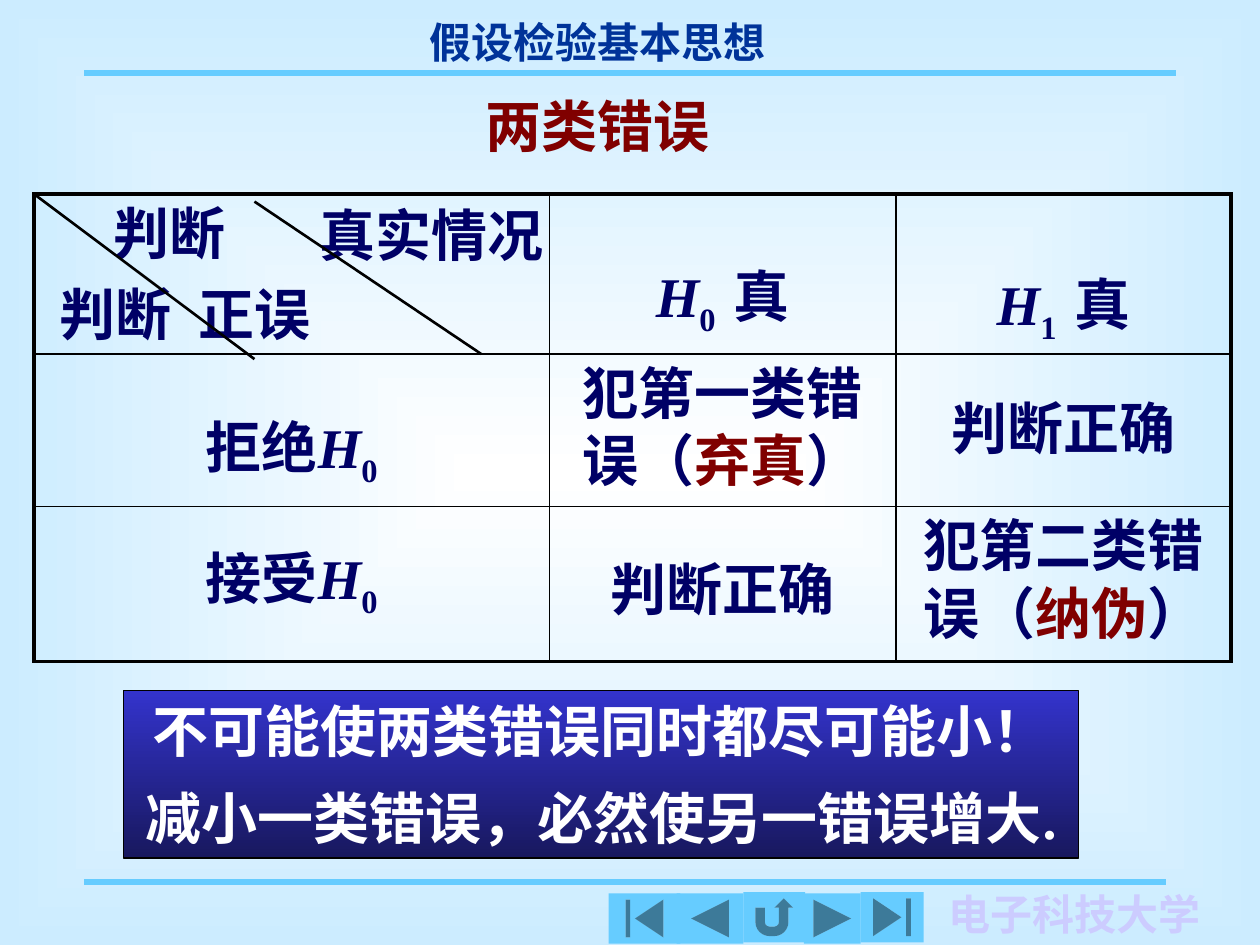
from pptx import Presentation
from pptx.dml.color import RGBColor
from pptx.enum.shapes import MSO_CONNECTOR, MSO_SHAPE
from pptx.enum.text import MSO_ANCHOR, PP_ALIGN
from pptx.oxml.ns import qn
from pptx.util import Inches, Pt
from lxml.etree import SubElement

# Content
NAVY, MAROON, SKY, BLACK = "000066", "800000", "66CCFF", "000000"
TIMES, SANS = "Times New Roman", "Noto Sans CJK SC"
TITLE = "两类错误"
HEADING = "假设检验基本思想"
SCHOOL = "电子科技大学"
TRUTH_LABEL = "真实情况"
WIDE_SPACE = (" ", {"spacing": 8})
NARROW_SPACE = (" ", {"spacing": 2})
TIGHT = 0.83  # line spacing that fits two lines in a table row


def hypothesis(number):
    return [("H", {"italic": True}), (number, {"baseline": -25})]


# Each cell: paragraphs (lists of runs) and their format
CELLS = [
    [
        ([["判断"], ["判断", WIDE_SPACE, "正误"]],
         {"align": PP_ALIGN.LEFT, "font": SANS, "before": 8, "indents": (0.53, 0.1),
          "line_spacing": TIGHT}),
        ([hypothesis("0") + [NARROW_SPACE, "真"]], {"line_spacing": 1.6}),
        ([hypothesis("1") + [NARROW_SPACE, "真"]], {"line_spacing": 1.7}),
    ],
    [
        ([["拒绝"] + hypothesis("0")], {"line_spacing": 1.5}),
        ([["犯第一类错误（", ("弃真", {"color": MAROON}), "）"]], {"line_spacing": TIGHT}),
        ([["判断正确"]], {"line_spacing": 1.3}),
    ],
    [
        ([["接受"] + hypothesis("0")], {"line_spacing": 1.25}),
        ([["判断正确"]], {"line_spacing": 1.4}),
        ([["犯第二类错误（", ("纳伪", {"color": MAROON}), "）"]], {"line_spacing": TIGHT}),
    ],
]
COLUMN_WIDTHS = [4.09, 2.75, 2.66]
ROW_HEIGHTS = [1.27, 1.21, 1.23]
TABLE_LEFT, TABLE_TOP = 0.27, 1.54

CONCLUSION = ["不可能使两类错误同时都尽可能小！", "减小一类错误，必然使另一错误增大."]

# Start, end, colour, width in points
RULES = [((0.67, 7), (9.25, 7), SKY, 3), ((0.67, 0.58), (9.33, 0.58), SKY, 3)]
DIAGONALS = [((0.27, 1.54), (2.02, 2.85), BLACK, 1.5), ((2.02, 1.6), (3.82, 2.81), BLACK, 1.5)]

# Preset, left, top, width
BUTTONS = [
    (MSO_SHAPE.ACTION_BUTTON_BEGINNING, 4.83, 7.09, 0.57),
    (MSO_SHAPE.ACTION_BUTTON_BACK_OR_PREVIOUS, 5.37, 7.09, 0.53),
    (MSO_SHAPE.ACTION_BUTTON_RETURN, 5.9, 7.08, 0.49),
    (MSO_SHAPE.ACTION_BUTTON_FORWARD_OR_NEXT, 6.38, 7.09, 0.45),
    (MSO_SHAPE.ACTION_BUTTON_END, 6.83, 7.08, 0.5),
]


def rgb(value):
    return RGBColor.from_string(value)


def write_text(frame, paragraphs, size=32, color=NAVY, font=TIMES, align=PP_ALIGN.CENTER,
               line_spacing=None, before=0, indents=()):
    """Fill a text frame with bold paragraphs, each a list of plain or formatted runs."""
    for index, runs in enumerate(paragraphs):
        para = frame.paragraphs[0] if index == 0 else frame.add_paragraph()
        para.alignment = align
        para.space_before = Pt(before if index else 0)
        if line_spacing:
            para.line_spacing = line_spacing
        if indents:
            properties = para._p.get_or_add_pPr()
            properties.set("marL", str(Inches(indents[index])))
            properties.set("indent", "0")
        for run in runs:
            text, style = (run, {}) if isinstance(run, str) else run
            span = para.add_run()
            span.text = text
            span.font.size = Pt(size)
            span.font.bold = True
            span.font.italic = style.get("italic", False)
            span.font.name = font
            span.font.color.rgb = rgb(style.get("color", color))
            details = span._r.get_or_add_rPr()
            SubElement(details, qn("a:ea")).set("typeface", SANS)
            if "baseline" in style:
                details.set("baseline", str(style["baseline"] * 1000))
            if "spacing" in style:
                details.set("spc", str(style["spacing"] * 100))


def add_label(page, text, left, top, width, height, wrap=True, **style):
    box = page.shapes.add_textbox(Inches(left), Inches(top), Inches(width), Inches(height))
    box.text_frame.word_wrap = wrap
    write_text(box.text_frame, [[text]], **style)


def add_line(page, start, end, color, width):
    line = page.shapes.add_connector(
        MSO_CONNECTOR.STRAIGHT, *[Inches(value) for value in start + end])
    line.line.color.rgb = rgb(color)
    line.line.width = Pt(width)
    SubElement(line._element.spPr, qn("a:effectLst"))


def add_gradient(fill, first, last):
    fill.gradient()
    for stop, color in zip(fill.gradient_stops, (first, last)):
        stop.color.rgb = rgb(color)


def set_borders(cell, outer_sides):
    """Draw thick borders on the table's outer sides and thin ones elsewhere."""
    properties = cell._tc.get_or_add_tcPr()
    for position, side in enumerate(("L", "R", "T", "B")):
        width = Pt(2.25 if side in outer_sides else 1)
        border = properties.makeelement(qn("a:ln" + side), {"w": str(width)})
        SubElement(SubElement(border, qn("a:solidFill")), qn("a:srgbClr")).set("val", BLACK)
        properties.insert(position, border)


def add_error_table(page):
    last_row, last_column = len(ROW_HEIGHTS) - 1, len(COLUMN_WIDTHS) - 1
    table = page.shapes.add_table(
        last_row + 1, last_column + 1, Inches(TABLE_LEFT), Inches(TABLE_TOP),
        Inches(sum(COLUMN_WIDTHS)), Inches(sum(ROW_HEIGHTS))).table
    table.first_row = table.horz_banding = False
    for column, width in zip(table.columns, COLUMN_WIDTHS):
        column.width = Inches(width)
    for row, height in zip(table.rows, ROW_HEIGHTS):
        row.height = Inches(height)
    for i, row in enumerate(CELLS):
        for j, (paragraphs, style) in enumerate(row):
            cell = table.cell(i, j)
            cell.fill.background()
            cell.vertical_anchor = MSO_ANCHOR.TOP
            cell.margin_left = cell.margin_right = Inches(0.1)
            cell.margin_top, cell.margin_bottom = Inches(0.05), Inches(0.02)
            write_text(cell.text_frame, paragraphs, **style)
            edges = {"L": j == 0, "R": j == last_column, "T": i == 0, "B": i == last_row}
            set_borders(cell, [side for side, outer in edges.items() if outer])


def main():
    deck = Presentation()
    deck.slide_width, deck.slide_height = Inches(10), Inches(7.5)
    page = deck.slides.add_slide(deck.slide_layouts[5])

    # Background glowing from the centre
    add_gradient(page.background.fill, "FFFFFF", "CCECFF")
    gradient = page._element.find(".//" + qn("a:gradFill"))
    gradient.remove(gradient.find(qn("a:lin")))
    glow = SubElement(gradient, qn("a:path"), path="rect")
    SubElement(glow, qn("a:fillToRect"), {side: "50000" for side in "ltrb"})

    # Header, footer and navigation buttons
    for rule in RULES:
        add_line(page, *rule)
    add_label(page, SCHOOL, 7.43, 7, 2.2, 0.5, wrap=False, size=24, color="CCCCFF",
              align=PP_ALIGN.LEFT)
    add_label(page, HEADING, 3.08, 0.08, 3.33, 0.5, size=24, color="003399")
    for preset, left, top, width in BUTTONS:
        button = page.shapes.add_shape(
            preset, Inches(left), Inches(top), Inches(width), Inches(0.4))
        button.shadow.inherit = False
        button.fill.solid()
        button.fill.fore_color.rgb = rgb(SKY)
        button.line.fill.background()

    # Title
    title = page.shapes.title
    title.left, title.top, title.width, title.height = map(Inches, (3.03, 0.68, 3.42, 0.75))
    title.text_frame.vertical_anchor = MSO_ANCHOR.TOP
    write_text(title.text_frame, [[TITLE]], color=MAROON)

    # Table of decisions with its split corner cell
    add_error_table(page)
    add_label(page, TRUTH_LABEL, 2.44, 1.54, 2.08, 0.64, font=SANS, align=PP_ALIGN.LEFT)
    for diagonal in DIAGONALS:
        add_line(page, *diagonal)

    # Conclusion panel
    panel = page.shapes.add_shape(
        MSO_SHAPE.RECTANGLE, Inches(0.98), Inches(5.48), Inches(7.58), Inches(1.33))
    panel.shadow.inherit = False
    add_gradient(panel.fill, "3333CC", "18185E")
    panel.fill.gradient_angle = 270
    panel.line.color.rgb = rgb(BLACK)
    panel.line.width = Pt(0.75)
    panel.text_frame.word_wrap = True
    panel.text_frame.vertical_anchor = MSO_ANCHOR.TOP
    write_text(panel.text_frame, [[line] for line in CONCLUSION], color="FFFFFF")
    panel.text_frame.paragraphs[1].line_spacing = 1.3

    deck.save("out.pptx")


if __name__ == "__main__":
    main()
